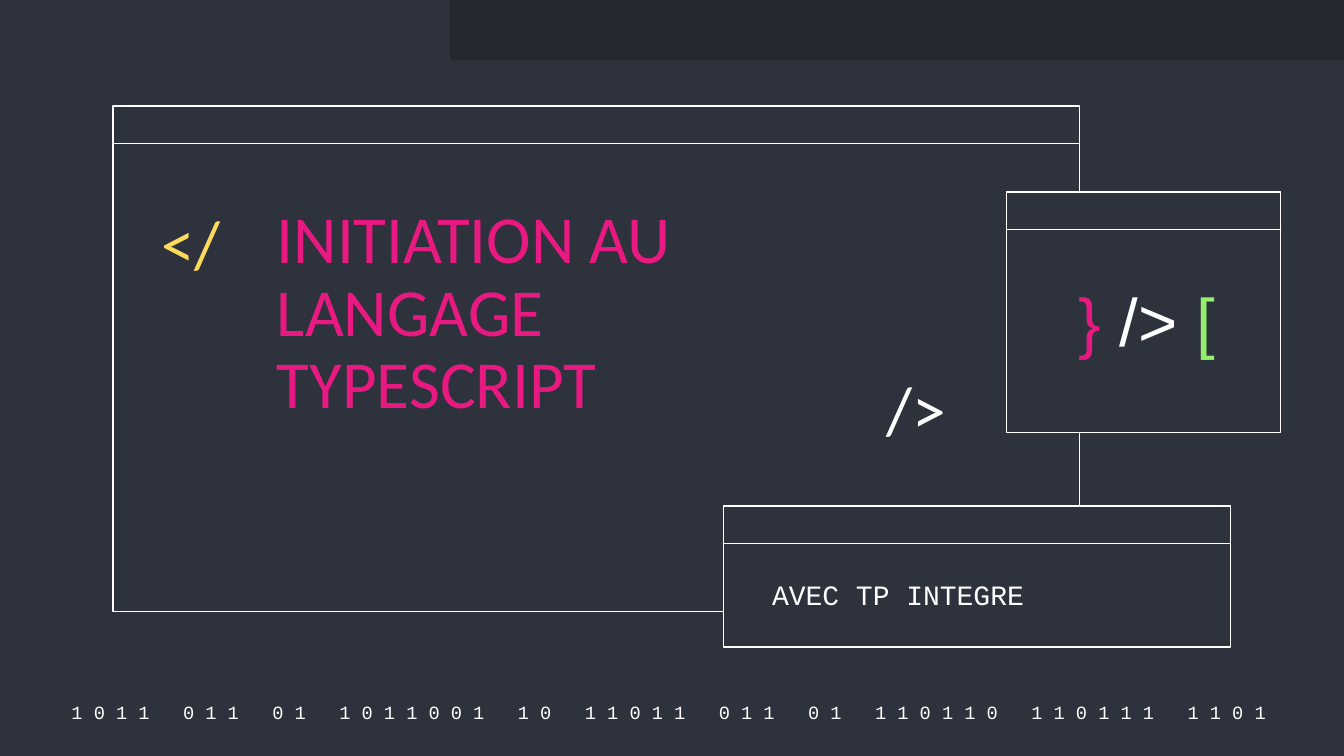
import pptx
import pptx.dml.color
import pptx.enum.shapes
import pptx.enum.text
import pptx.util

RGBColor = pptx.dml.color.RGBColor
ALIGN = pptx.enum.text.PP_ALIGN
ANCHOR = pptx.enum.text.MSO_ANCHOR
RECTANGLE = pptx.enum.shapes.MSO_SHAPE.RECTANGLE

SLATE = RGBColor(0x2D, 0x32, 0x3C)
DARK = RGBColor(0x24, 0x28, 0x30)
WHITE = RGBColor(0xFF, 0xFF, 0xFF)
PINK = RGBColor(0xE8, 0x19, 0x81)
YELLOW = RGBColor(0xFF, 0xDB, 0x5D)
GREEN = RGBColor(0x94, 0xEE, 0x6B)

PX = 4572  # EMU in one px: 200 px to the inch
PAGE_WIDTH, PAGE_HEIGHT = 2000, 1125
TITLE_BAR = 56
MARGIN = 20
BITS = "1011 011 01 1011001 10 11011 011 01 110110 110111 1101"


def emu(*lengths):
    return [pptx.util.Emu(length * PX) for length in lengths]


def add_rectangle(shapes, box, fill, line=None):
    rectangle = shapes.add_shape(RECTANGLE, *emu(*box))
    rectangle.shadow.inherit = False
    rectangle.fill.solid()
    rectangle.fill.fore_color.rgb = fill
    if line is None:
        rectangle.line.fill.background()
    else:
        rectangle.line.color.rgb = line
        rectangle.line.width = pptx.util.Pt(0.75)


def add_window(page, box):
    """Outlined window with a title bar along its top."""
    left, top, width, _ = box
    group = page.shapes.add_group_shape()
    add_rectangle(group.shapes, box, SLATE, WHITE)
    add_rectangle(group.shapes, (left, top, width, TITLE_BAR), SLATE, WHITE)


def write(shape, spans, font, size, align=ALIGN.LEFT, anchor=ANCHOR.MIDDLE,
          spacing=0.9):
    """Fill a shape with one paragraph of (text, colour) spans."""
    frame = shape.text_frame
    margin, = emu(MARGIN)
    frame_format = {
        "word_wrap": True,
        "auto_size": pptx.enum.text.MSO_AUTO_SIZE.NONE,
        "vertical_anchor": anchor,
        "margin_left": margin,
        "margin_top": margin,
        "margin_right": margin,
        "margin_bottom": margin,
    }
    for name, value in frame_format.items():
        setattr(frame, name, value)
    para = frame.paragraphs[0]
    para_format = {
        "alignment": align,
        "line_spacing": spacing,
        "space_before": pptx.util.Pt(0),
    }
    for name, value in para_format.items():
        setattr(para, name, value)
    for text, color in spans:
        span = para.add_run()
        span.text = text
        span.font.name = font
        span.font.size = pptx.util.Pt(size)
        span.font.color.rgb = color


def add_text(page, box, spans, font, size, **layout):
    write(page.shapes.add_textbox(*emu(*box)), spans, font, size, **layout)


def place_placeholder(shape, box, spans, font, size, **layout):
    """Move a placeholder to its box, in front of the windows."""
    shape.left, shape.top, shape.width, shape.height = emu(*box)
    shape.element.getparent().append(shape.element)
    write(shape, spans, font, size, **layout)


def add_backdrop(page, box):
    left, top, width, _ = box
    page.background.fill.solid()
    page.background.fill.fore_color.rgb = SLATE
    bits = "   ".join(" ".join(word) for word in BITS.split()) + " "
    add_text(page, (left + 76, top + 1040, 1854, 40), [(bits, WHITE)],
             "Courier New", 10, align=ALIGN.CENTER, spacing=1.0)
    add_rectangle(page.shapes, (left + 670, top, width - 670, 90), DARK)


def add_title_window(page, box):
    left, top, _, _ = box
    add_window(page, box)
    place_placeholder(page.shapes.title, (left + 224, top + 128, 908, 366),
                      [("INITIATION AU LANGAGE TYPESCRIPT", PINK)],
                      "Calibri", 36, anchor=ANCHOR.TOP)
    for x, y, tag, color in ((52, 144, "</", YELLOW), (1132, 390, "/>", WHITE)):
        add_text(page, (left + x, top + y, 154, 132), [(tag, color)],
                 "Calibri", 36)


def add_subtitle_window(page, box):
    left, top, _, _ = box
    add_window(page, box)
    place_placeholder(page.placeholders[1], (left + 52, top + 74, 666, 116),
                      [("AVEC TP INTEGRE", WHITE)], "Courier New", 15,
                      spacing=1.0)


def add_symbol_window(page, box):
    left, top, _, _ = box
    add_window(page, box)
    add_text(page, (left + 76, top + 124, 266, 164),
             [("}", PINK), (" /> ", WHITE), ("[", GREEN)], "Arial", 36,
             align=ALIGN.CENTER, anchor=ANCHOR.TOP)


def main():
    deck = pptx.Presentation()
    deck.slide_width, deck.slide_height = emu(PAGE_WIDTH, PAGE_HEIGHT)
    page = deck.slides.add_slide(deck.slide_layouts[0])
    add_backdrop(page, (0, 0, PAGE_WIDTH, PAGE_HEIGHT))
    add_title_window(page, (168, 158, 1438, 752))
    add_subtitle_window(page, (1077, 753, 754, 210))
    add_symbol_window(page, (1498, 286, 408, 358))
    deck.save("out.pptx")


if __name__ == "__main__":
    main()
